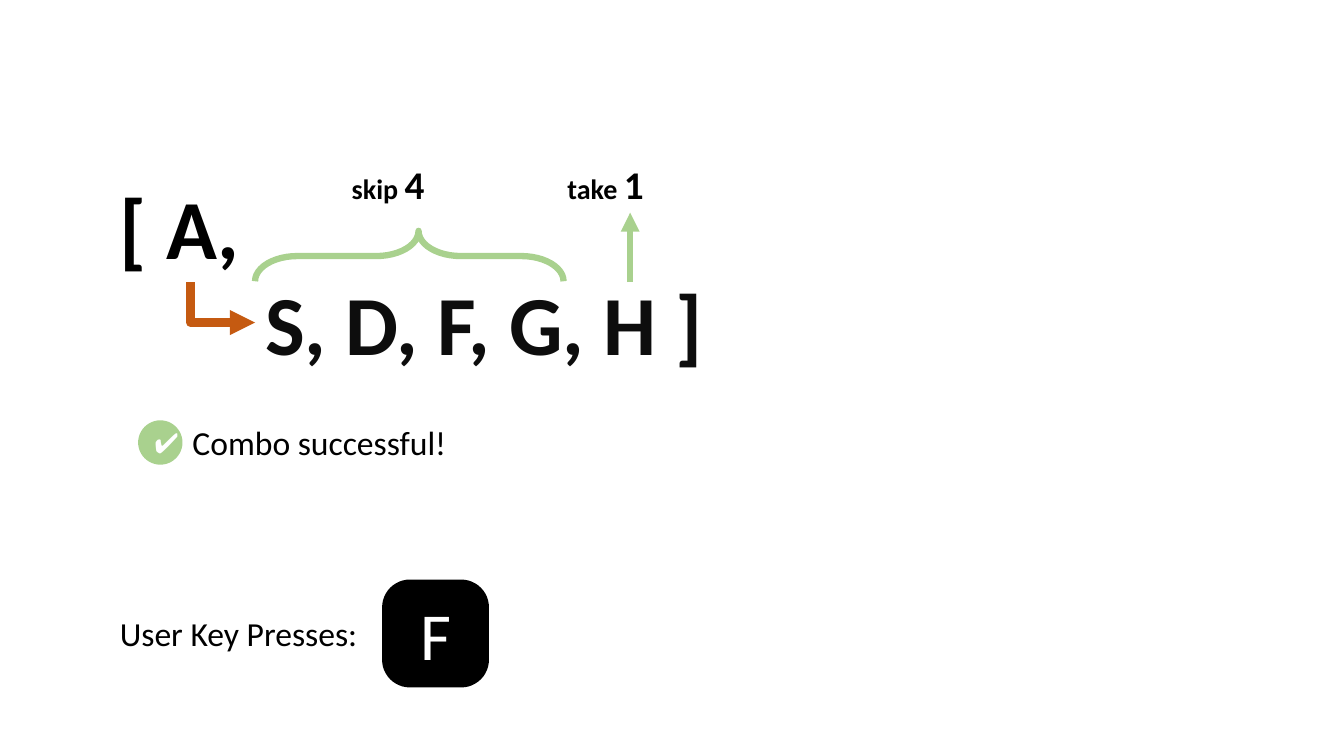
from lxml.etree import SubElement
from pptx import Presentation
from pptx.dml.color import RGBColor
from pptx.enum.shapes import MSO_CONNECTOR, MSO_SHAPE
from pptx.enum.text import MSO_ANCHOR, MSO_AUTO_SIZE, PP_ALIGN
from pptx.oxml.ns import qn
from pptx.util import Inches, Pt

GREEN, ORANGE, BLACK, WHITE = "A9D18E", "C55A11", "000000", "FFFFFF"

# Columns and rows of the layout, in inches
LEFT_COLUMN, SEQUENCE_COLUMN, TAKE_COLUMN = 1.09, 2.53, 6.25
LABEL_ROW, FIRST_ROW, SECOND_ROW, RESULT_ROW, KEY_ROW = 1.54, 1.69, 2.64, 4.14, 6.03
ARROW_ROW = 2.8


def write_runs(shape, runs, color, bold=False):
    """Fill the first paragraph with (text, point size) runs."""
    paragraph = shape.text_frame.paragraphs[0]
    for text, size in runs:
        run = paragraph.add_run()
        run.text = text
        run.font.name = "Calibri"
        run.font.size = Pt(size)
        run.font.bold = bold
        run.font.color.rgb = RGBColor.from_string(color)


def style_arrow(connector, color, width):
    """Colour the line, end it in a triangle and drop its shadow."""
    connector.line.color.rgb = RGBColor.from_string(color)
    connector.line.width = Pt(width)
    SubElement(connector.line._get_or_add_ln(), qn("a:tailEnd"), type="triangle")
    SubElement(connector._element.spPr, qn("a:effectLst"))


presentation = Presentation()
presentation.slide_width = Inches(13.33)
presentation.slide_height = Inches(7.5)
slide = presentation.slides.add_slide(presentation.slide_layouts[6])
shapes = slide.shapes

# Key sequence, labels and captions
texts = [
    (LEFT_COLUMN, FIRST_ROW, 1.6, 1.11, [("[ A,", 60)], BLACK, True),
    (SEQUENCE_COLUMN, SECOND_ROW, 4.59, 1.11, [("S, D, F, G, H ]", 60)], "0D0D0D", True),
    (3.39, LABEL_ROW, 0.93, 0.57, [("skip ", 20), ("4", 28)], BLACK, True),
    (5.53, LABEL_ROW, 0.97, 0.57, [("take ", 20), ("1", 28)], BLACK, True),
    (1.81, RESULT_ROW, 2.74, 0.5, [("Combo successful!", 24)], BLACK, False),
    (LEFT_COLUMN, KEY_ROW, 2.58, 0.5, [("User Key Presses:", 24)], BLACK, False),
]
for left, top, width, height, runs, color, bold in texts:
    text_box = shapes.add_textbox(Inches(left), Inches(top), Inches(width), Inches(height))
    text_box.text_frame.word_wrap = False
    text_box.text_frame.auto_size = MSO_AUTO_SIZE.SHAPE_TO_FIT_TEXT
    write_runs(text_box, runs, color, bold)

# Check mark and pressed key
badges = [
    (MSO_SHAPE.OVAL, 1.37, 4.17, 0.44, 0.44, GREEN, "✔", 20),
    (MSO_SHAPE.ROUNDED_RECTANGLE, 3.79, 5.75, 1.06, 1.07, BLACK, "F", 48),
]
for kind, left, top, width, height, fill, text, size in badges:
    badge = shapes.add_shape(kind, Inches(left), Inches(top), Inches(width), Inches(height))
    badge.shadow.inherit = False
    badge.fill.solid()
    badge.fill.fore_color.rgb = RGBColor.from_string(fill)
    badge.line.fill.background()
    badge.text_frame.vertical_anchor = MSO_ANCHOR.MIDDLE
    badge.text_frame.paragraphs[0].alignment = PP_ALIGN.CENTER
    write_runs(badge, [(text, size)], WHITE)
    if kind == MSO_SHAPE.ROUNDED_RECTANGLE:
        badge.adjustments[0] = 0.26

# Brace over the four skipped keys
brace = shapes.add_shape(
    MSO_SHAPE.RIGHT_BRACE, Inches(3.81), Inches(1.01), Inches(0.5), Inches(3.06))
brace.rotation = 270
brace.adjustments[0] = 0.84
brace.adjustments[1] = 0.53
brace.shadow.inherit = False
brace.fill.background()
brace.line.color.rgb = RGBColor.from_string(GREEN)
brace.line.width = Pt(4.5)

# Arrow up from the key that is taken
take_arrow = shapes.add_connector(
    MSO_CONNECTOR.STRAIGHT,
    Inches(TAKE_COLUMN), Inches(ARROW_ROW), Inches(TAKE_COLUMN), Inches(2.11))
style_arrow(take_arrow, GREEN, 4.5)

# Single-bend arrow from the first key, a mirrored elbow turned by 270 degrees
step_arrow = shapes.add_connector(
    MSO_CONNECTOR.ELBOW, Inches(2.41), Inches(2.68), Inches(2.01), Inches(3.32))
properties = step_arrow._element.spPr
properties.find(qn("a:prstGeom")).set("prst", "bentConnector2")
properties.find(qn("a:xfrm")).set("rot", str(270 * 60000))
style_arrow(step_arrow, ORANGE, 6)

presentation.save("out.pptx")
